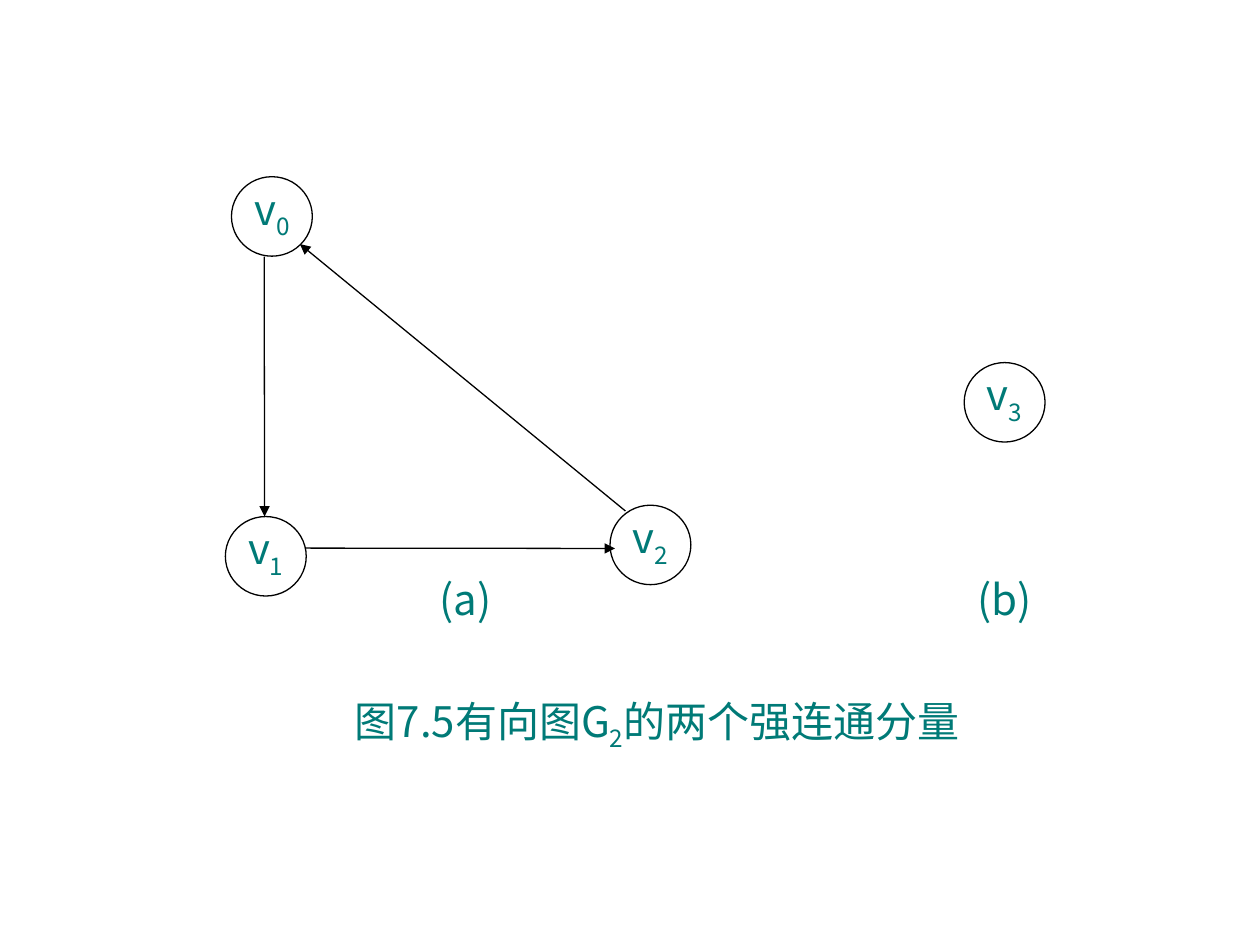
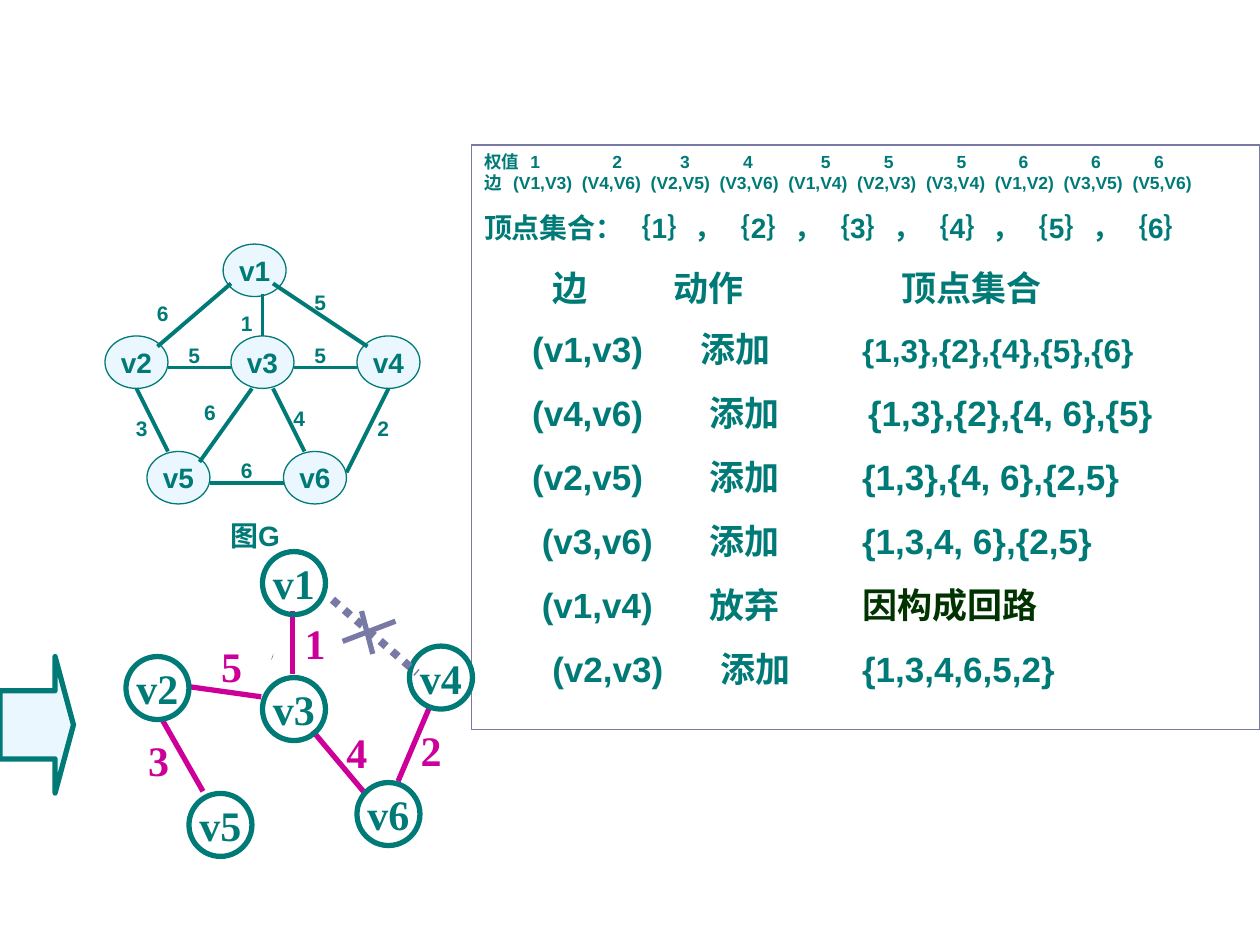
from lxml import etree
from pptx import Presentation
from pptx.dml.color import RGBColor
from pptx.enum import dml, shapes, text
from pptx.oxml import ns
from pptx.util import Pt

TEAL = RGBColor(0x00, 0x7A, 0x77)
PALE = RGBColor(0xEB, 0xF7, 0xFF)
VIOLET = RGBColor(0x79, 0x79, 0xA5)
MAGENTA = RGBColor(0xCC, 0x00, 0x99)
DARK_GREEN = RGBColor(0x00, 0x33, 0x00)
NAVY = RGBColor(0x00, 0x33, 0x99)
BLACK = RGBColor(0, 0, 0)
WHITE = RGBColor(0xFF, 0xFF, 0xFF)
CJK, SANS, SERIF = "Noto Sans CJK SC", "Arial", "Times New Roman"
OVAL = shapes.MSO_SHAPE.OVAL
RECTANGLE = shapes.MSO_SHAPE.RECTANGLE


def add_box(slide, kind, place, words="", font=SANS, size=16, color=TEAL, bold=True,
            fill=None, line=None, width=0.75, inset=True, wrap=False,
            align=text.PP_ALIGN.CENTER, anchor=text.MSO_ANCHOR.TOP):
    """Add a shape, or a text box if kind is None; "_" starts a one-letter subscript."""
    place = [Pt(length) for length in place]
    if kind is None:
        shape = slide.shapes.add_textbox(*place)
    else:
        shape = slide.shapes.add_shape(kind, *place)
        shape.shadow.inherit = False
        if fill is None:
            shape.fill.background()
        else:
            shape.fill.solid()
            shape.fill.fore_color.rgb = fill
        shape.line.color.rgb = line
        shape.line.width = Pt(width)
    frame = shape.text_frame
    frame.word_wrap = wrap
    frame.vertical_anchor = anchor
    if not inset:
        frame.margin_left = frame.margin_right = frame.margin_top = frame.margin_bottom = 0
    paragraph = frame.paragraphs[0]
    paragraph.alignment = align
    paragraph.font.name = font
    paragraph.font.size = Pt(size)
    paragraph.font.bold = bold
    paragraph.font.color.rgb = color
    base, *rest = words.split("_")
    paragraph.add_run().text = base
    for part in rest:
        subscript = paragraph.add_run()
        subscript.text = part[0]
        subscript._r.get_or_add_rPr().set("baseline", "-25000")
        if part[1:]:
            paragraph.add_run().text = part[1:]
    return shape


def add_line(slide, ends, color, width, arrow=False, dash=None):
    line = slide.shapes.add_connector(
        shapes.MSO_CONNECTOR.STRAIGHT, *[Pt(length) for length in ends])
    line.line.color.rgb = color
    line.line.width = Pt(width)
    if dash:
        line.line.dash_style = dash
    if arrow:
        etree.SubElement(line.line._get_or_add_ln(), ns.qn("a:tailEnd"), type="triangle")
    etree.SubElement(line._element.spPr, ns.qn("a:effectLst"))


presentation = Presentation()
presentation.slide_width, presentation.slide_height = Pt(720), Pt(540)
blank = presentation.slide_layouts[6]

# Slide 1: strongly connected components
slide = presentation.slides.add_slide(blank)
plain = dict(font=CJK, size=24, bold=False, fill=WHITE, inset=False, wrap=True)

for words, left, top in [("v_3", 551, 207.2), ("v_0", 132.3, 101),
                         ("v_1", 128.8, 295.2), ("v_2", 348.6, 288.7)]:
    node = add_box(slide, OVAL, (left, top, 46.2, 45.4), words, line=BLACK, **plain)
    node.text_frame.paragraphs[0].line_spacing = 0.8

for ends in [(175, 313.2, 351.4, 313.4), (151, 146.7, 151.2, 295.2),
             (357.4, 292, 171.4, 139.5)]:
    add_line(slide, ends, BLACK, 0.75, arrow=True)

for words, place in [("图7.5有向图G_2的两个强连通分量", (132.5, 397.4, 486, 63.4)),
                     ("(a)", (231.8, 327.6, 68.4, 60.5)),
                     ("(b)", (540, 327.6, 68.4, 60.5))]:
    add_box(slide, RECTANGLE, place, words, line=WHITE, width=1, **plain)

# Slide 2: minimum spanning tree by edge weight
slide = presentation.slides.add_slide(blank)

# Weighted graph G
for words, left, top in [("v1", 127.5, 139.5), ("v2", 60, 192), ("v4", 204, 192),
                         ("v3", 132, 192), ("v5", 84, 258), ("v6", 162, 258)]:
    add_box(slide, OVAL, (left, top, 36, 30), words, fill=PALE, line=TEAL,
            anchor=text.MSO_ANCHOR.MIDDLE)

# Each edge: weight, line ends, left and top of its label
for weight, ends, left, top in [
    ("5", (96, 210, 132, 210), 96, 192),
    ("5", (168, 210, 204, 210), 168, 192),
    ("1", (150, 168, 150, 192), 126, 174),
    ("3", (78, 222, 96, 258), 66, 234),
    ("6", (114, 264, 144, 222), 105, 225),
    ("4", (156, 222, 174, 258), 156, 228),
    ("2", (198, 270, 222, 222), 204, 234),
    ("6", (120, 276, 162, 276), 126, 258),
    ("6", (90, 198, 132, 162), 78, 168),
    ("5", (210, 198, 156, 162), 168, 162),
]:
    add_line(slide, ends, TEAL, 2.25)
    add_box(slide, None, (left, top, 30, 21.6), weight, size=12, wrap=True)
add_box(slide, None, (124.5, 292.5, 81, 26.6), "图G", wrap=True, align=text.PP_ALIGN.LEFT)

# Panel with the steps: text, size, space before, tab stops
weight_stops = [26.5, 73.3, 112, 148, 192.5, 228.5, 270, 305.5, 347, 383]
edge_stops = [16.6 + 39.33 * column for column in range(10)]
edges = ["(V1,V3)", "(V4,V6)", "(V2,V5)", "(V3,V6)", "(V1,V4)",
         "(V2,V3)", "(V3,V4)", "(V1,V2)", "(V3,V5)", "(V5,V6)"]
lines = [
    ("\t".join(["权值", *"1234555666"]), 10, 0, weight_stops),
    ("\t".join(["边", *edges]), 10, 0, edge_stops),
    ("顶点集合：｛1｝，｛2｝，｛3｝，｛4｝，｛5｝，｛6｝", 16, 10, []),
    ("\t边\t动作\t顶点集合", 20, 12.5, [39.4, 108, 238.5]),
    ("\t(v1,v3)\t添加\t{1,3},{2},{4},{5},{6}", 20, 11.2, [27.5, 123.5, 216]),
    ("\t(v4,v6)\t添加\t{1,3},{2},{4, 6},{5}", 20, 12.5, [27.5, 129, 219.5]),
    ("\t(v2,v5)\t添加\t{1,3},{4, 6},{2,5}", 20, 12.5, [27.5, 129, 216]),
    ("\t(v3,v6)\t添加\t{1,3,4, 6},{2,5}", 20, 12.5, [33, 129, 216]),
    ("\t(v1,v4)\t放弃\t因构成回路", 20, 12.5, [33, 129, 216]),
    ("\t(v2,v3)\t添加\t{1,3,4,6,5,2}", 20, 12.5, [39, 135, 216]),
]
special_results = {"{1,3},{2},{4},{5},{6}": (18, TEAL), "因构成回路": (20, DARK_GREEN)}

panel = add_box(slide, RECTANGLE, (269.5, 82.9, 450.5, 334), line=VIOLET, wrap=True)
frame = panel.text_frame
for number, (words, size, space, stops) in enumerate(lines):
    paragraph = frame.add_paragraph() if number else frame.paragraphs[0]
    paragraph.alignment = text.PP_ALIGN.LEFT
    if space:
        paragraph.space_before = Pt(space)
    if stops:
        properties = paragraph._p.get_or_add_pPr()
        tabs = etree.Element(ns.qn("a:tabLst"))
        for stop in stops:
            etree.SubElement(tabs, ns.qn("a:tab"), pos=str(int(Pt(stop))), algn="l")
        # Tab stops go before any default run properties
        properties.insert(1 if space else 0, tabs)
    paragraph.font.name = SANS
    paragraph.font.size = Pt(size)
    paragraph.font.bold = True
    paragraph.font.color.rgb = TEAL
    start, tab, result = words.rpartition("\t")
    if result in special_results:
        paragraph.add_run().text = start + tab
        run = paragraph.add_run()
        run.text = result
        result_size, run.font.color.rgb = special_results[result]
        run.font.size = Pt(result_size)
    else:
        paragraph.add_run().text = words

# Small sliver beside the tree
builder = slide.shapes.build_freeform(Pt(154.9, ), Pt(377.2))
builder.add_line_segments([(Pt(156.2), Pt(373.7)), (Pt(155.8), Pt(375.5))])
sliver = builder.convert_to_shape()
sliver.shadow.inherit = False
sliver.fill.solid()
sliver.fill.fore_color.rgb = NAVY
sliver.line.fill.background()

# Spanning tree: weight, line ends, left and top of its label
for weight, ends, left, top in [
    ("1", (167, 349.2, 167, 385.2), 167, 349.2),
    ("5", (107.3, 392.3, 149.3, 398.2), 119.3, 362.2),
    ("4", (178.6, 417.6, 208.8, 453.6), 190.8, 411.8),
    ("3", (92.2, 410.4, 116, 452.2), 77.5, 416.2),
    ("2", (245.5, 404, 227.5, 446.4), 233.3, 410.4),
]:
    add_line(slide, ends, MAGENTA, 3)
    add_box(slide, None, (left, top, 26.4, 36), weight, font=SERIF, size=24,
            color=MAGENTA, align=text.PP_ALIGN.LEFT)

for words, left, top in [("v1", 150, 315.2), ("v3", 150, 387.2), ("v5", 108, 453.4),
                         ("v2", 72, 375.2), ("v4", 234, 369.2), ("v6", 204, 447.2)]:
    add_box(slide, OVAL, (left, top, 36, 36), words, font=SERIF, size=24,
            line=TEAL, width=3, anchor=text.MSO_ANCHOR.MIDDLE)

arrow = add_box(slide, shapes.MSO_SHAPE.RIGHT_ARROW, (0, 375.2, 42, 78),
                fill=PALE, line=TEAL, width=3)
arrow.adjustments[0], arrow.adjustments[1] = 0.5, 0.25

# Rejected edge v1-v4, crossed out
add_line(slide, (190, 342.7, 238.3, 384.5), VIOLET, 4.5, dash=dml.MSO_LINE.ROUND_DOT)
for ends in [(195.8, 366.5, 226, 355), (206.6, 349.2, 213, 373.7)]:
    add_line(slide, ends, VIOLET, 3)

presentation.save("out.pptx")
